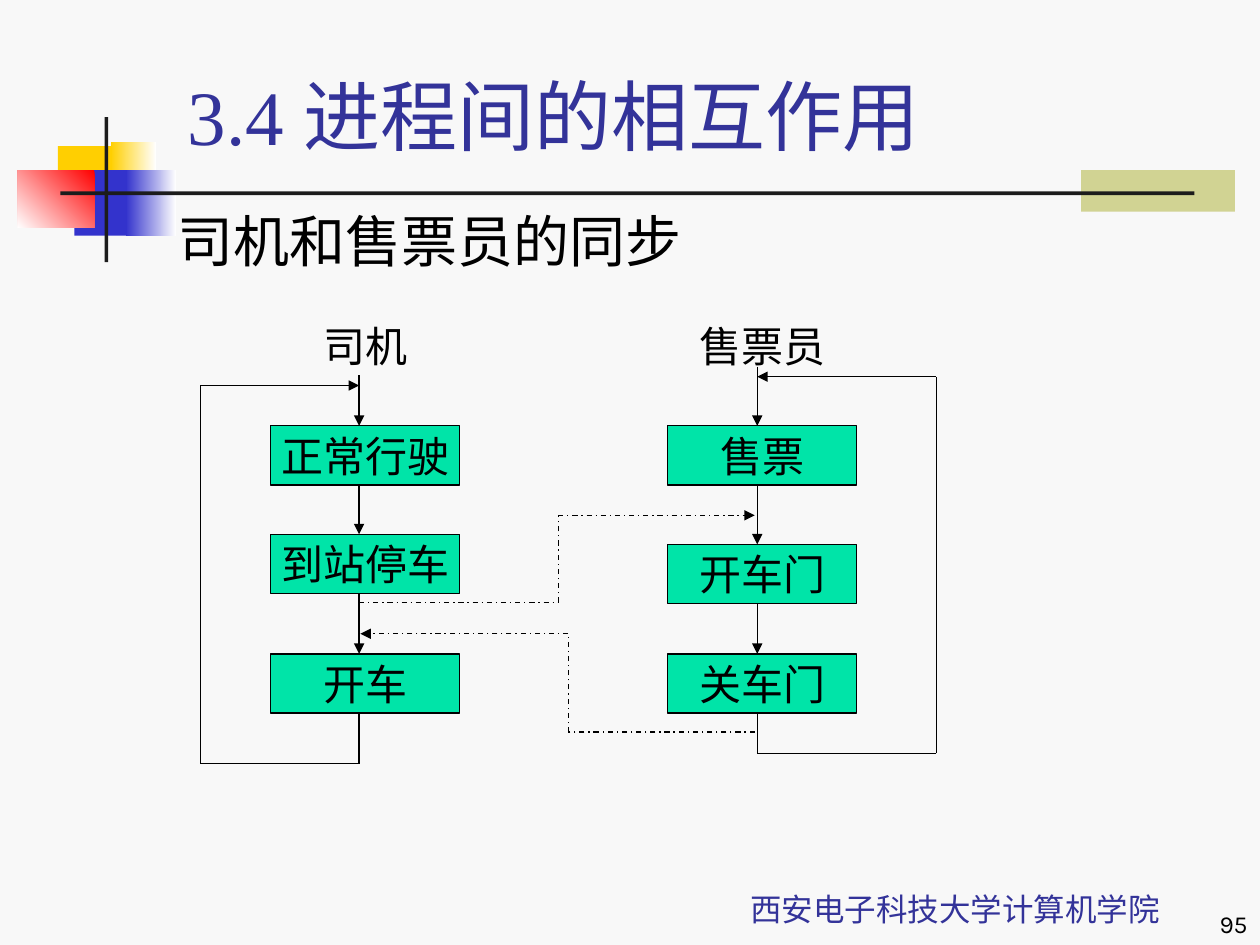
import lxml.etree
import pptx
import pptx.dml.color
import pptx.enum.dml
import pptx.enum.shapes
import pptx.enum.text
import pptx.oxml.ns
import pptx.util

Inches = pptx.util.Inches
Pt = pptx.util.Pt
ALIGN = pptx.enum.text.PP_ALIGN
ANCHOR = pptx.enum.text.MSO_ANCHOR

THEME = dict(
    back="F8F8F8", ink="000000", navy="333399", bar="1C1C1C", olive="D1D393",
    gold="FFCF01", blue="3333CC", red="FF0000", white="FFFFFF", mint="00E4A8",
    serif="Times New Roman", hans="Noto Sans CJK SC", sans="Karla",
    title=44, body=32, step=24, foot=18, page=14, line=0.75,
)

DECOR = [
    ((8.58, 1.35, 1.22, 0.33), ("olive",), 0),
    ((0.46, 1.16, 0.48, 0.52), ("gold",), 0),
    ((0.88, 1.13, 0.36, 0.52), ("white", "gold"), 180),
    ((0.59, 1.35, 0.46, 0.52), ("blue",), 0),
    ((1, 1.35, 0.4, 0.52), ("white", "blue"), 180),
    ((0.14, 1.35, 0.61, 0.46), ("red", "white"), 225),
    ((0.83, 0.93, 0.03, 1.15), ("bar",), 0),
    ((0.48, 1.52, 9, 0.03), ("bar",), 0),
]

TEXTS = [
    ("西安电子科技大学计算机学院", (5.33, 6.83, 4.5, 0.58),
     dict(size="foot", face="hans", tint="navy", align=ALIGN.CENTER)),
    ("95", (7.92, 7, 2.08, 0.5),
     dict(size="page", face="sans", align=ALIGN.RIGHT)),
    ("3.4 进程间的相互作用", (1.39, 0.5, 8.52, 0.83),
     dict(size="title", tint="navy")),
    ("司机和售票员的同步", (1.31, 1.59, 8.5, 0.91),
     dict(size="body", anchor=ANCHOR.TOP, above=9)),
]

WIDE, HIGH, HEAD = 1.5, 0.47, 2.51
FLOWS = [
    dict(role="司机", left=2.15, axis=2.85, start=2.98,
         steps=[("正常行驶", 3.38), ("到站停车", 4.24), ("开车", 5.19)],
         side=1.59, low=6.06, back=3.06),
    dict(role="售票员", left=5.3, axis=6.01, start=2.91,
         steps=[("售票", 3.38), ("开车门", 4.32), ("关车门", 5.19)],
         side=7.43, low=5.98, back=2.99),
]

SIGNALS = [
    [(2.85, 4.78), (4.43, 4.78), (4.43, 4.09), (5.99, 4.09)],
    [(5.99, 5.81), (4.51, 5.81), (4.51, 5.03), (2.86, 5.03)],
]


def tone(name):
    return pptx.dml.color.RGBColor.from_string(THEME[name])


def add_rect(shapes, at, hues, angle=0, edge=False):
    rect = shapes.add_shape(
        pptx.enum.shapes.MSO_SHAPE.RECTANGLE, *map(Inches, at))
    rect.shadow.inherit = False
    if len(hues) > 1:
        rect.fill.gradient()
        rect.fill.gradient_angle = angle
        for stop, hue in zip(rect.fill.gradient_stops, hues):
            stop.color.rgb = tone(hue)
    else:
        rect.fill.solid()
        rect.fill.fore_color.rgb = tone(hues[0])
    if edge:
        rect.line.color.rgb = tone("ink")
        rect.line.width = Pt(THEME["line"])
    else:
        rect.line.fill.background()
    return rect


def write(shape, words, size, face="serif", tint="ink", align=ALIGN.LEFT,
          anchor=ANCHOR.BOTTOM, above=1, wrap=True):
    frame = shape.text_frame
    frame.text = words
    frame.word_wrap = wrap
    frame.vertical_anchor = anchor
    para = frame.paragraphs[0]
    para.alignment = align
    para.space_before, para.space_after = Pt(above), Pt(1)
    font = para.runs[0].font
    font.size = Pt(THEME[size])
    font.name = THEME[face]
    font.color.rgb = tone(tint)


def add_route(shapes, points, arrow=True, dash=None):
    pairs = list(zip(points, points[1:]))
    for spot, (start, end) in enumerate(pairs, 1):
        link = shapes.add_connector(
            pptx.enum.shapes.MSO_CONNECTOR.STRAIGHT,
            *map(Inches, start + end))
        link.line.color.rgb = tone("ink")
        link.line.width = Pt(THEME["line"])
        if dash:
            link.line.dash_style = dash
        props = link._element.spPr
        if arrow and spot == len(pairs):
            edge = props.find(pptx.oxml.ns.qn("a:ln"))
            lxml.etree.SubElement(
                edge, pptx.oxml.ns.qn("a:tailEnd"), type="triangle")
        lxml.etree.SubElement(props, pptx.oxml.ns.qn("a:effectLst"))


def add_flow(shapes, flow):
    mid = dict(size="step", align=ALIGN.CENTER, anchor=ANCHOR.MIDDLE,
               wrap=False)
    left, axis, side = flow["left"], flow["axis"], flow["side"]
    role = shapes.add_textbox(*map(Inches, (left, HEAD, WIDE, HIGH)))
    write(role, flow["role"], **mid)
    start = flow["start"]
    for words, top in flow["steps"]:
        box = add_rect(shapes, (left, top, WIDE, HIGH), ("mint",), edge=True)
        write(box, words, **mid)
        add_route(shapes, [(axis, start), (axis, top)])
        start = top + HIGH
    low, back = flow["low"], flow["back"]
    add_route(shapes, [(axis, start), (axis, low), (side, low),
                       (side, back), (axis, back)])


def main():
    deck = pptx.Presentation()
    deck.slide_width, deck.slide_height = Inches(10), Inches(7.5)
    slide = deck.slides.add_slide(deck.slide_layouts[6])
    slide.background.fill.solid()
    slide.background.fill.fore_color.rgb = tone("back")
    shapes = slide.shapes
    for at, hues, angle in DECOR:
        add_rect(shapes, at, hues, angle)
    for words, at, style in TEXTS:
        write(shapes.add_textbox(*map(Inches, at)), words, **style)
    for flow in FLOWS:
        add_flow(shapes, flow)
    for points in SIGNALS:
        group = shapes.add_group_shape()
        add_route(group.shapes, points,
                  dash=pptx.enum.dml.MSO_LINE.DASH_DOT)
    deck.save("out.pptx")


if __name__ == "__main__":
    main()
